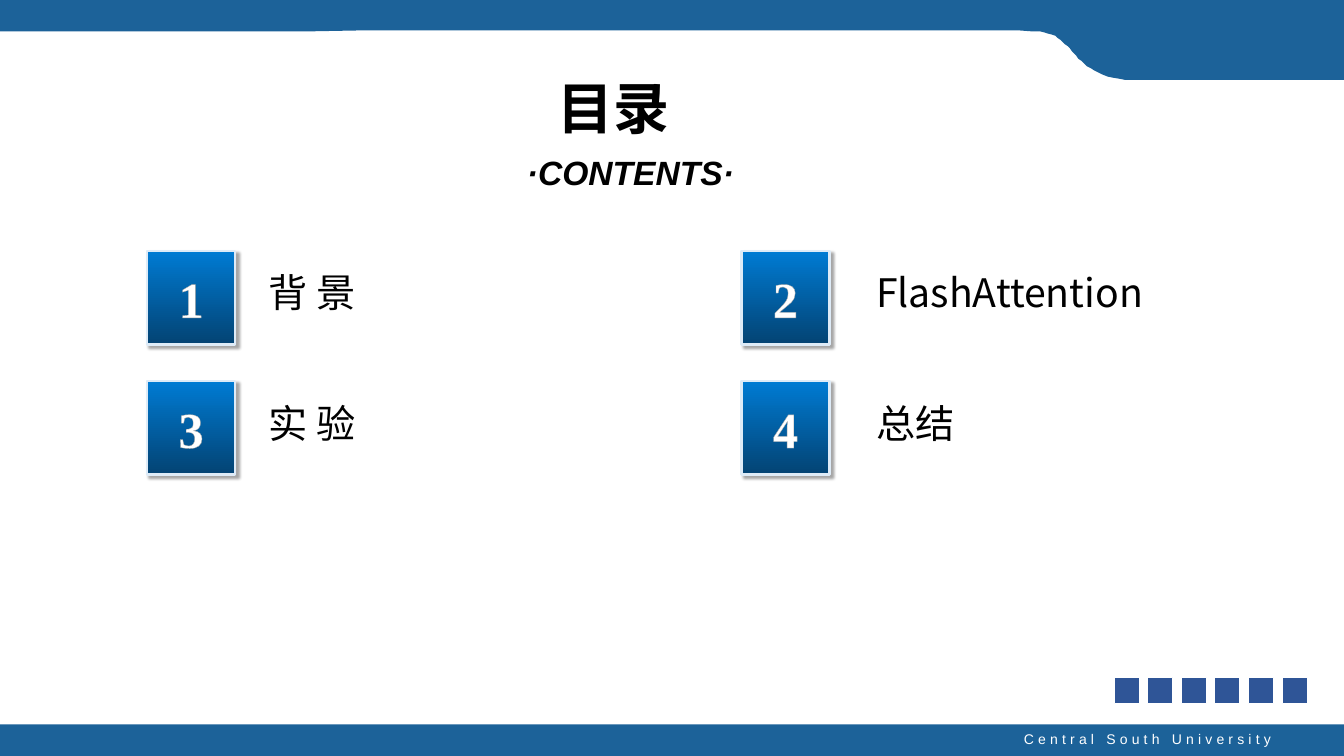
import dataclasses

import pptx
import pptx.dml.color
import pptx.enum.shapes
import pptx.enum.text
import pptx.oxml
import pptx.oxml.ns
import pptx.util

EMU_PER_PX = 9525
A_NS = pptx.oxml.ns.nsdecls("a")
ALIGN = pptx.enum.text.PP_ALIGN
ANCHOR = pptx.enum.text.MSO_ANCHOR


@dataclasses.dataclass(frozen=True)
class Theme:
    band: str = "1C6299"
    square: str = "2F5597"
    tile_top: str = "007BD3"
    tile_bottom: str = "034373"
    tile_line: str = "DEEBF7"
    outline: str = "A6A6A6"
    ink: str = "000000"
    paper: str = "FFFFFF"
    latin: str = "Arial"
    cjk: str = "Noto Sans CJK SC"
    serif: str = "Times New Roman"
    title_size: int = 40
    subtitle_size: int = 24
    number_size: int = 36
    label_size: int = 28
    footer_size: int = 10


THEME = Theme()
ENTRIES = ["背 景", "FlashAttention", "实 验", "总结"]


def px(*lengths):
    return [pptx.util.Emu(n * EMU_PER_PX) for n in lengths]


def rgb(color):
    return pptx.dml.color.RGBColor.from_string(color)


def write(sp, text, size, font=THEME.latin, color=THEME.ink, bold=False,
          italic=False, align=ALIGN.LEFT, anchor=ANCHOR.TOP, wrap=True,
          spacing=None, outline=None):
    tf = sp.text_frame
    tf.auto_size = pptx.enum.text.MSO_AUTO_SIZE.NONE
    tf.word_wrap = wrap
    tf.vertical_anchor = anchor
    p = tf.paragraphs[0]
    p.alignment = align
    r = p.add_run()
    r.text = text
    r.font.size = pptx.util.Pt(size)
    r.font.bold = bold
    r.font.italic = italic
    r.font.color.rgb = rgb(color)
    r.font.name = font
    props = r.font._element
    latin = props.find(pptx.oxml.ns.qn("a:latin"))
    latin.addnext(pptx.oxml.parse_xml(f'<a:ea {A_NS} typeface="{THEME.cjk}"/>'))
    if spacing:
        props.set("spc", str(spacing * 100))
    if outline:
        props.insert(0, pptx.oxml.parse_xml(
            f'<a:ln {A_NS} w="9525"><a:solidFill><a:srgbClr val="{outline}"/>'
            '</a:solidFill></a:ln>'))


def add_text(shapes, box, text, size, **fmt):
    write(shapes.add_textbox(*px(*box)), text, size, **fmt)


def add_rect(shapes, box, fill=None, line=None, line_width=0.75):
    kind = pptx.enum.shapes.MSO_SHAPE.RECTANGLE
    sp = shapes.add_shape(kind, *px(*box))
    sp.shadow.inherit = False
    if fill:
        sp.fill.solid()
        sp.fill.fore_color.rgb = rgb(fill)
    if line:
        sp.line.color.rgb = rgb(line)
        sp.line.width = pptx.util.Pt(line_width)
    else:
        sp.line.fill.background()
    return sp


def bezier(start, c1, c2, end, steps=24):
    """Points along a cubic curve, without its start."""
    points = []
    for i in range(1, steps + 1):
        t = i / steps
        weights = ((1 - t) ** 3, 3 * t * (1 - t) ** 2, 3 * t * t * (1 - t), t ** 3)
        points.append(tuple(
            sum(w * v for w, v in zip(weights, values))
            for values in zip(start, c1, c2, end)))
    return points


def add_header_band(shapes):
    tab, shoulder = (1066, 75), (991, 30)
    outline = [(1280, 0), (1280, 76), (1071, 76), tab]
    outline += bezier(tab, (1018, 67), (1024, 34), shoulder)
    outline += bezier(shoulder, (957, 27), (330, 30), (0, 30))
    builder = shapes.build_freeform(0, 0, scale=EMU_PER_PX)
    builder.add_line_segments(outline, close=True)
    sp = builder.convert_to_shape()
    sp.shadow.inherit = False
    sp.fill.solid()
    sp.fill.fore_color.rgb = rgb(THEME.band)
    sp.line.fill.background()


def add_number_tile(shapes, box, number):
    sp = add_rect(shapes, box, line=THEME.tile_line, line_width=1.75)
    sp.fill.gradient()
    sp.fill.gradient_angle = 270
    colors = (THEME.tile_top, THEME.tile_bottom)
    for stop, position, color in zip(sp.fill.gradient_stops, (0, 1), colors):
        stop.position = position
        stop.color.rgb = rgb(color)
    effects = sp._element.spPr.find(pptx.oxml.ns.qn("a:effectLst"))
    effects.append(pptx.oxml.parse_xml(
        f'<a:outerShdw {A_NS} blurRad="25400" dist="38100" dir="2700000">'
        f'<a:srgbClr val="{THEME.ink}"><a:alpha val="35000"/></a:srgbClr>'
        '</a:outerShdw>'))
    write(sp, str(number), THEME.number_size, font=THEME.serif,
          color=THEME.paper, bold=True, align=ALIGN.CENTER,
          anchor=ANCHOR.MIDDLE, wrap=False, outline=THEME.outline)


def add_entries(shapes):
    tiles = shapes.add_group_shape().shapes
    for i, label in enumerate(ENTRIES):
        row, col = divmod(i, 2)
        add_number_tile(tiles, (140 + 566 * col, 239 + 124 * row, 84, 89), i + 1)
        add_text(shapes, (246 + 579 * col, 251 + 125 * row, 293, 71), label,
                 THEME.label_size, font=THEME.cjk)


def add_squares(shapes):
    squares = shapes.add_group_shape().shapes
    for i in range(6):
        add_rect(squares, (1061 + 32 * i, 645, 24, 25), fill=THEME.square,
                 line=THEME.paper)


def add_title(slide):
    title = slide.shapes.title
    title.left, title.top, title.width, title.height = px(521, 65, 158, 74)
    write(title, "目录", THEME.title_size, bold=True, align=ALIGN.JUSTIFY)


def main():
    prs = pptx.Presentation()
    prs.slide_width, prs.slide_height = px(1280, 720)
    slide = prs.slides.add_slide(prs.slide_layouts.get_by_name("Title Only"))
    shapes = slide.shapes
    add_header_band(shapes)
    add_rect(shapes, (0, 690, 1280, 30), fill=THEME.band)
    add_text(shapes, (959, 691, 261, 26), "Central South University",
             THEME.footer_size, color=THEME.paper, align=ALIGN.RIGHT,
             wrap=False, spacing=3)
    add_title(slide)
    add_text(shapes, (459, 140, 283, 48), "·CONTENTS·", THEME.subtitle_size,
             bold=True, italic=True, align=ALIGN.CENTER)
    add_entries(shapes)
    add_squares(shapes)
    prs.save("out.pptx")


if __name__ == "__main__":
    main()
